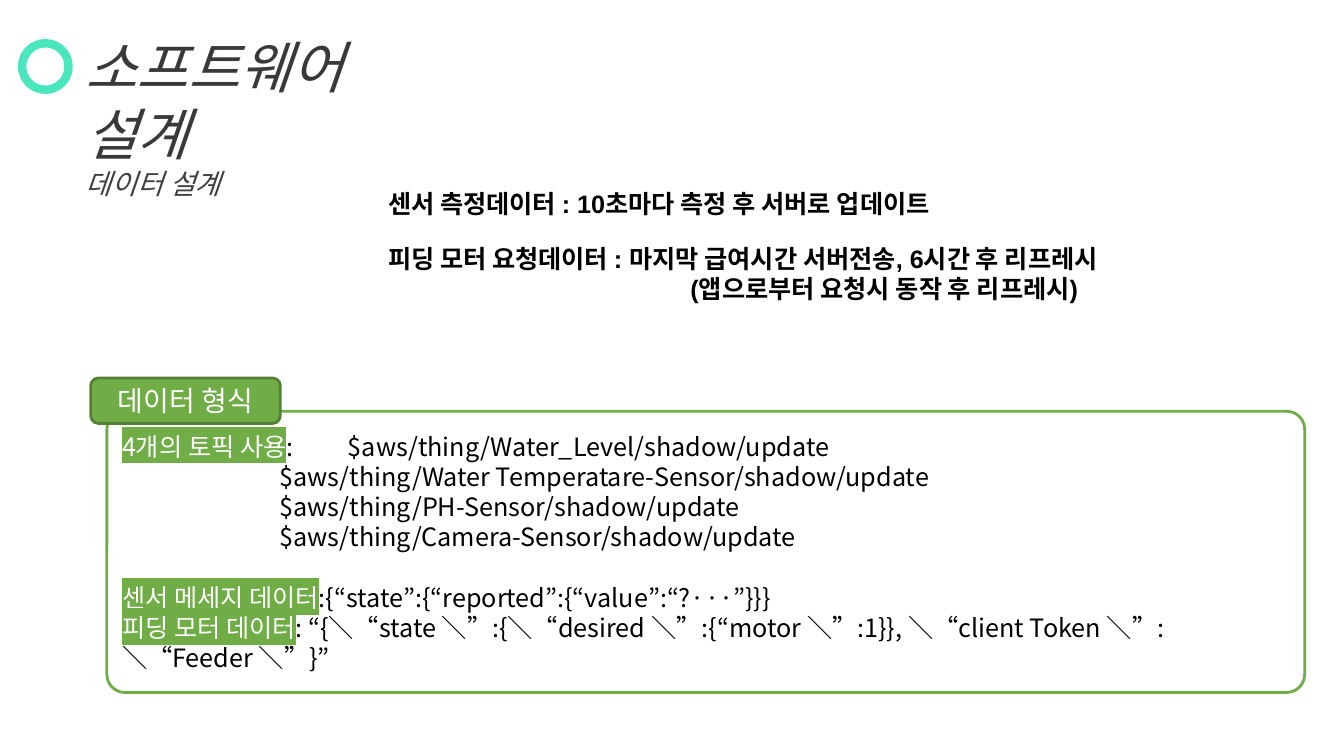
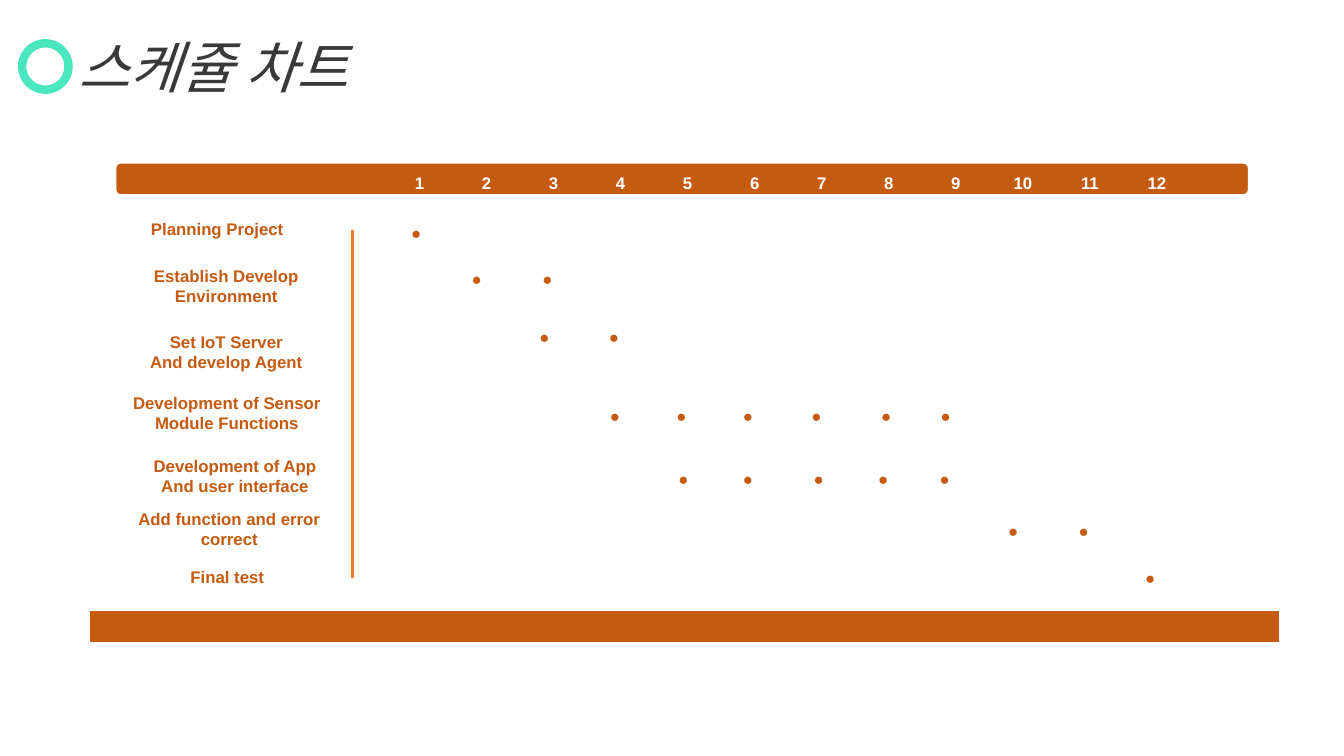
from dataclasses import dataclass
from typing import NamedTuple

from lxml import etree
from pptx import Presentation
from pptx import util as u
from pptx.dml.color import RGBColor
from pptx.enum import shapes, text
from pptx.oxml.ns import qn

KO, LATIN = "Noto Sans CJK KR", "Arial"
MINT, GREEN, MOSS, RUST, AMBER = "4AE6BD", "70AD47", "538035", "C55A11", "EC792B"
WHITE, BLACK, DARK, GREY = "FFFFFF", "000000", "3B3838", "404040"
LEFT, MID = text.PP_ALIGN.LEFT, text.PP_ALIGN.CENTER
OVAL, RECT, ROUND = (shapes.MSO_SHAPE.OVAL, shapes.MSO_SHAPE.RECTANGLE,
                     shapes.MSO_SHAPE.ROUNDED_RECTANGLE)


class Box(NamedTuple):
    x: float
    y: float
    w: float
    h: float


@dataclass(frozen=True)
class Run:
    words: str
    size: float = 18
    ink: str = BLACK
    font: str = KO
    bold: bool = False
    slant: bool = False
    mark: str = ""


@dataclass(frozen=True)
class Para:
    runs: tuple[Run, ...]
    align: text.PP_ALIGN = LEFT
    lead: float = 0
    gap: float = 0
    indent: float = 0
    tab: float = 0


@dataclass(frozen=True)
class Task:
    lines: tuple[str, ...]
    box: Box
    top: float
    dots: tuple[float, ...]


TASKS = (
    Task(("Planning Project",), Box(1.27, 2.12, 1.77, 0.3), 2.16, (3.98,)),
    Task(("Establish Develop Environment",), Box(1.23, 2.59, 2.03, 0.5), 2.62, (4.58, 5.28)),
    Task(("Set IoT Server", "And develop Agent"), Box(1.23, 3.24, 2.03, 0.5), 3.19, (5.25, 5.94)),
    Task(("Development of Sensor Module Functions",), Box(1.19, 3.85, 2.12, 0.5), 3.98,
         (5.95, 6.61, 7.27, 7.95, 8.64, 9.23)),
    Task(("Development of App", "And user interface"), Box(1.27, 4.47, 2.12, 0.5), 4.6,
         (6.63, 7.27, 7.97, 8.61, 9.22)),
    Task(("Add function and error correct",), Box(1.26, 5, 2.03, 0.5), 5.12, (9.9, 10.6)),
    Task(("Final test",), Box(1.24, 5.57, 2.03, 0.3), 5.58, (11.26,)),
)


def rgb(code: str) -> RGBColor:
    return RGBColor.from_string(code)


def place(box: Box) -> list[u.Length]:
    return [u.Inches(n) for n in box]


def add_run(para, run: Run) -> None:
    item = para.add_run()
    item.text = run.words
    font = item.font
    font.size, font.name = u.Pt(run.size), run.font
    font.bold, font.italic = run.bold, run.slant
    font.color.rgb = rgb(run.ink)
    props = item._r.get_or_add_rPr()
    latin = props.find(qn("a:latin"))
    east = etree.Element(qn("a:ea"), typeface=KO)
    latin.addnext(east)
    if run.mark:
        mark = etree.Element(qn("a:highlight"))
        etree.SubElement(mark, qn("a:srgbClr"), val=run.mark)
        latin.addprevious(mark)


def write(frame, paras: list[Para]) -> None:
    frame.word_wrap = True
    for i, para in enumerate(paras):
        line = frame.paragraphs[0] if i == 0 else frame.add_paragraph()
        line.alignment = para.align
        if para.lead:
            line.line_spacing = u.Pt(para.lead)
        if para.gap:
            line.space_before = u.Pt(para.gap)
        props = line._p.get_or_add_pPr()
        if para.indent:
            props.set("marL", str(u.Inches(para.indent)))
            props.set("indent", "0")
        if para.tab:
            tabs = etree.SubElement(props, qn("a:tabLst"))
            etree.SubElement(tabs, qn("a:tab"), pos=str(u.Inches(para.tab)), algn="l")
        for run in para.runs:
            add_run(line, run)


def add_text(slide, box: Box, paras: list[Para]) -> None:
    frame = slide.shapes.add_textbox(*place(box)).text_frame
    write(frame, paras)
    frame.auto_size = text.MSO_AUTO_SIZE.SHAPE_TO_FIT_TEXT


def add_shape(slide, kind, box: Box, fill: str, line: str, width: float = 2,
              bend: float | None = None):
    shape = slide.shapes.add_shape(kind, *place(box))
    shape.shadow.inherit = False
    if fill:
        shape.fill.solid()
        shape.fill.fore_color.rgb = rgb(fill)
    else:
        shape.fill.background()
    shape.line.color.rgb = rgb(line)
    shape.line.width = u.Pt(width)
    if bend is not None:
        shape.adjustments[0] = bend
    shape.text_frame.vertical_anchor = text.MSO_ANCHOR.MIDDLE
    return shape


def add_head(slide, box: Box, title: str, sub: str = "") -> None:
    add_shape(slide, OVAL, Box(0.22, 0.43, 0.46, 0.46), "", MINT, 6)
    paras = [Para((Run(title, 40, DARK, slant=True),), lead=48)]
    if sub:
        paras.append(Para((Run(sub, 20, GREY, slant=True),), lead=24))
    add_text(slide, box, paras)


def add_label(slide, box: Box, lines: tuple[str, ...], ink: str) -> None:
    add_text(slide, box, [Para((Run(s, 12, ink, LATIN, True),), MID) for s in lines])


def body(*runs: Run, **style: float) -> Para:
    return Para(runs, lead=21.6, **style)


def note(words: str, indent: float = 0) -> Para:
    return body(Run(words, font=LATIN, bold=True), indent=indent)


def tag(words: str) -> Run:
    return Run(words, ink=WHITE, mark=GREEN)


def draw_data(slide) -> None:
    add_head(slide, Box(0.75, 0.27, 3.2, 1.78), "소프트웨어 설계", "데이터 설계")
    panel = add_shape(slide, ROUND, Box(1.06, 4.08, 11.88, 2.79), WHITE, GREEN, bend=0.064)
    topics = ("Water Temperatare-Sensor", "PH-Sensor", "Camera-Sensor")
    write(panel.text_frame, [
        body(tag("4개의 토픽 사용"), Run(":\t$aws/thing/Water_Level/shadow/update"), tab=2.24),
        *(body(Run(f"$aws/thing/{name}/shadow/update"), indent=1.56) for name in topics),
        body(tag("센서 메세지 데이터"),
             Run(":{“state”:{“reported”:{“value”:“?···”}}}"), gap=21.6),
        body(tag("피딩 모터 데이터"),
             Run(": “{＼“state ＼”:{＼“desired ＼”:{“motor ＼”:1}}, "
                 "＼“client Token ＼”: ＼“Feeder ＼”}”")),
    ])
    badge = add_shape(slide, ROUND, Box(0.9, 3.75, 1.88, 0.45), GREEN, MOSS)
    write(badge.text_frame, [Para((Run("데이터 형식", 20, WHITE),), MID, lead=24)])
    add_text(slide, Box(3.75, 1.82, 6.49, 0.4),
             [note("센서 측정데이터 : 10초마다 측정 후 서버로 업데이트")])
    add_text(slide, Box(3.75, 2.36, 8.31, 0.71), [
        note("피딩 모터 요청데이터 : 마지막 급여시간 서버전송, 6시간 후 리프레시"),
        note("(앱으로부터 요청시 동작 후 리프레시)", 3),
    ])


def draw_plan(slide) -> None:
    add_head(slide, Box(0.68, 0.27, 3.19, 0.77), "스케쥴 차트")
    add_shape(slide, RECT, Box(0.88, 6.05, 11.82, 0.33), RUST, WHITE)
    add_shape(slide, ROUND, Box(1.14, 1.61, 11.25, 0.33), RUST, WHITE)
    for i in range(12):
        add_label(slide, Box(3.95 + i * 0.665, 1.66, 0.42, 0.3), (str(i + 1),), WHITE)
    axis = slide.shapes.add_connector(
        shapes.MSO_CONNECTOR.STRAIGHT, *place(Box(3.5, 2.28, 3.5, 5.73)))
    axis.line.color.rgb = rgb(AMBER)
    axis.line.width = u.Pt(2.25)
    etree.SubElement(axis._element.spPr, qn("a:effectLst"))
    for task in TASKS:
        add_label(slide, task.box, task.lines, RUST)
        for x in task.dots:
            add_text(slide, Box(x, task.top, 0.45, 0.3),
                     [Para((Run("●", 12, RUST, LATIN),))])


def main() -> None:
    deck = Presentation()
    deck.slide_width, deck.slide_height = u.Inches(13.33), u.Inches(7.5)
    for draw in (draw_data, draw_plan):
        draw(deck.slides.add_slide(deck.slide_layouts[6]))
    deck.save("out.pptx")


if __name__ == "__main__":
    main()
